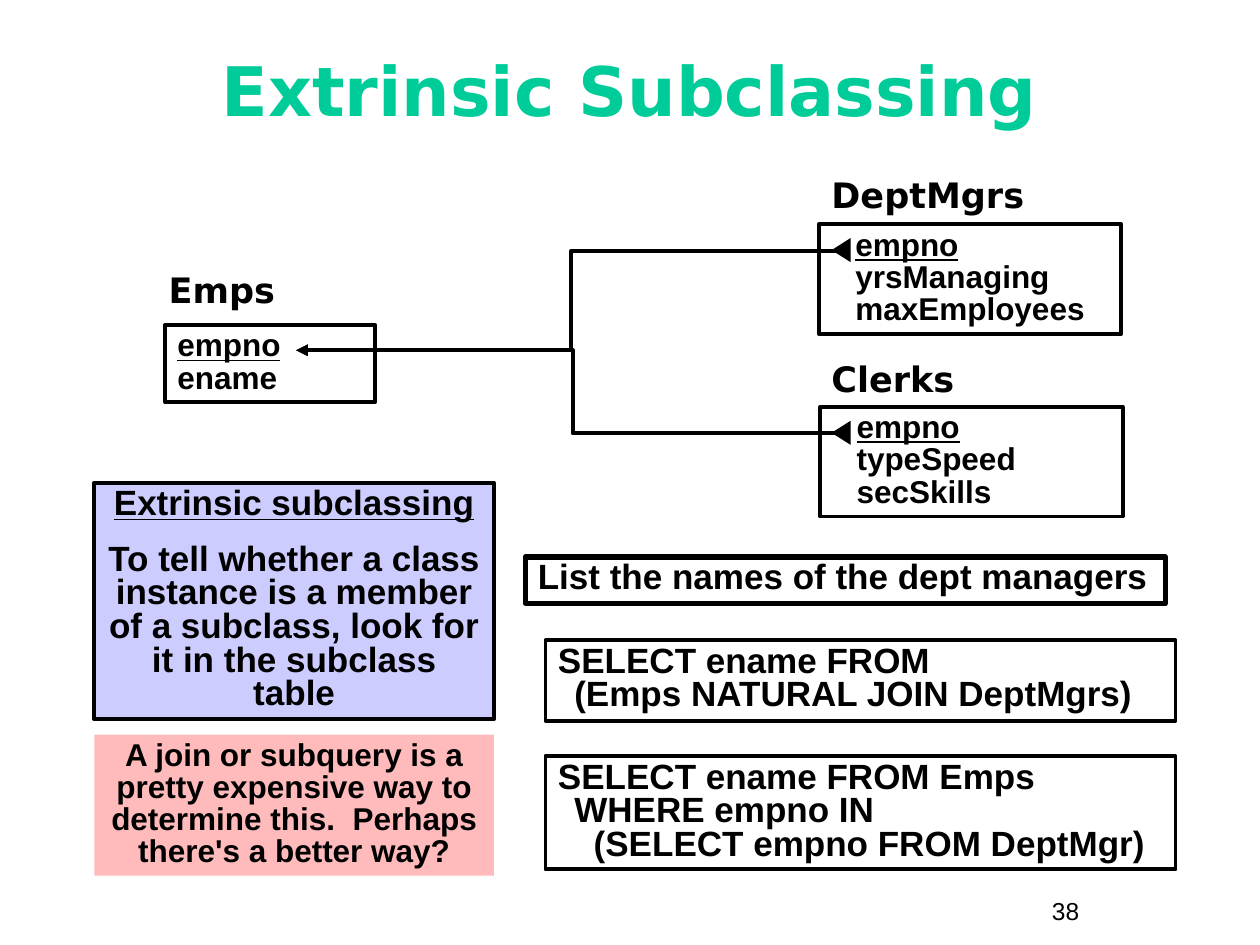
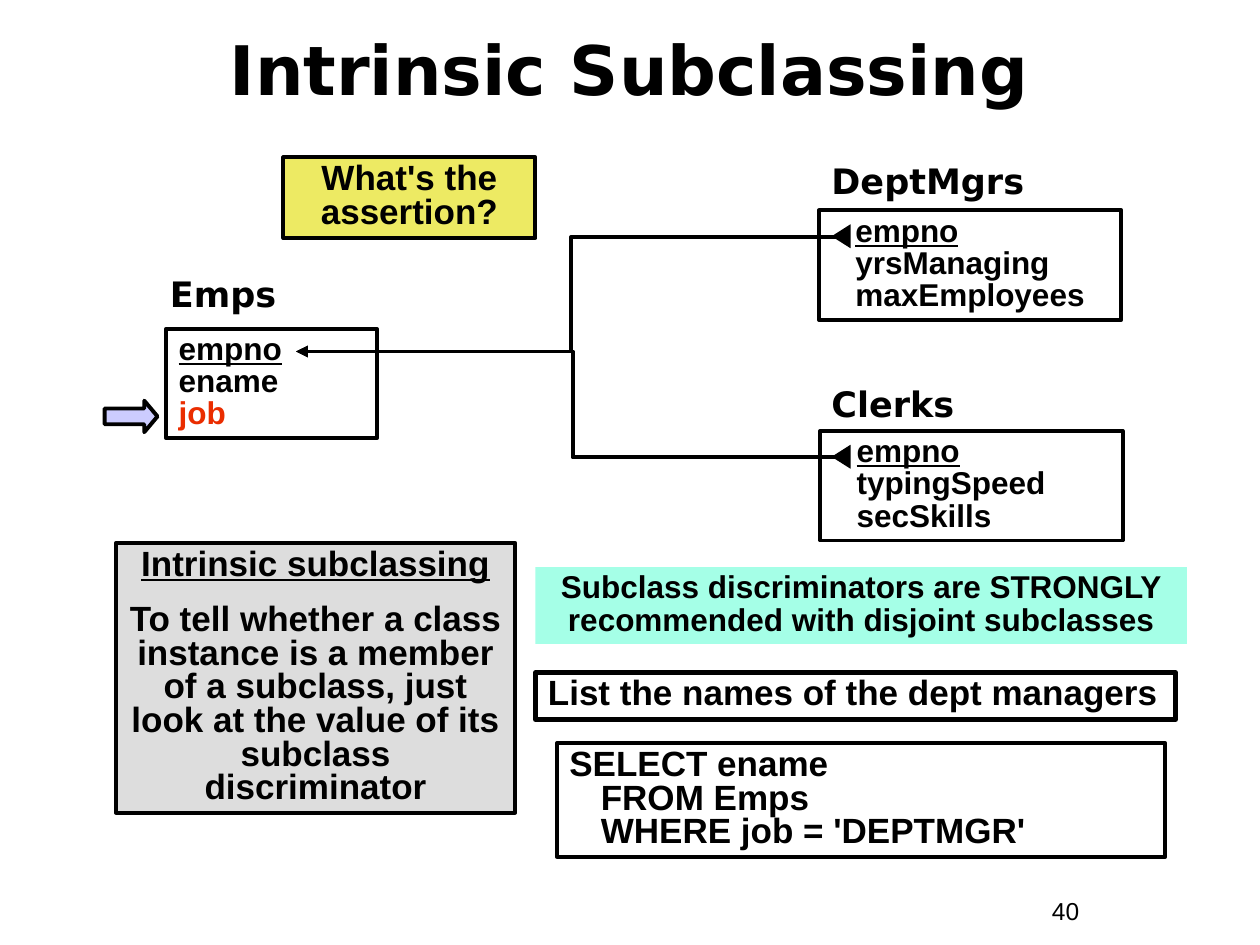
from lxml.etree import SubElement
from pptx import Presentation
from pptx.dml.color import RGBColor
from pptx.enum.shapes import MSO_CONNECTOR, MSO_SHAPE
from pptx.enum.text import MSO_ANCHOR, MSO_AUTO_SIZE, PP_ALIGN
from pptx.oxml.ns import qn
from pptx.util import Emu, Pt

PX = 9144  # 100 px to the inch
COLORS = {
    "black": "000000",
    "green": "00CC99",
    "red": "EA2D00",
    "lavender": "CCCCFF",
    "pink": "FFBBBB",
    "gray": "DDDDDD",
    "yellow": "EDEA63",
    "mint": "A5FFE7",
}
BODY_FONT, HEAD_FONT = "Arial", "DejaVu Sans"
LINE = 2.25
FIELD_HEIGHT = 26
ELBOW_LEFT = 235
QUESTION = "List the names of the dept managers"


def px(*lengths):
    return [Emu(n * PX) for n in lengths]


def rgb(name):
    return RGBColor.from_string(COLORS[name])


def write(sp, *paragraphs, size=20, font=BODY_FONT, color="black", bold=True,
          align=PP_ALIGN.LEFT, spacing=0.8, gap=0, left=0, hanging=0,
          anchor=MSO_ANCHOR.TOP):
    """Fill sp; a paragraph is a string or a (string, overrides) pair."""
    tf = sp.text_frame
    tf.word_wrap = True
    tf.auto_size = MSO_AUTO_SIZE.NONE
    tf.vertical_anchor = anchor
    for i, item in enumerate(paragraphs):
        text, overrides = item if isinstance(item, tuple) else (item, {})
        p = tf.add_paragraph() if i else tf.paragraphs[0]
        p.alignment = align
        p.line_spacing = spacing
        p.space_before = Pt(gap if i else 0)
        pPr = p._p.get_or_add_pPr()
        pPr.set("marL", str((left + hanging) * PX))
        pPr.set("indent", str(-hanging * PX))
        for j, line in enumerate(text.split("\n")):
            if j:
                p.add_line_break()
            r = p.add_run()
            r.text = line
            r.font.name = font
            r.font.size = Pt(size)
            r.font.bold = bold
            r.font.underline = overrides.get("underline", False)
            r.font.color.rgb = rgb(overrides.get("color", color))


def add_label(s, text, x, y, w, h, **fmt):
    write(s.shapes.add_textbox(*px(x, y, w, h)), text, **fmt)


def add_shape(s, kind, x, y, w, h, fill=None, line=LINE):
    sp = s.shapes.add_shape(kind, *px(x, y, w, h))
    sp.shadow.inherit = False
    if fill:
        sp.fill.solid()
        sp.fill.fore_color.rgb = rgb(fill)
    else:
        sp.fill.background()
    if line:
        sp.line.color.rgb = rgb("black")
        sp.line.width = Pt(line)
    else:
        sp.line.fill.background()
    return sp


def add_box(s, x, y, w, h, *paragraphs, fill=None, line=LINE, **fmt):
    write(add_shape(s, MSO_SHAPE.RECTANGLE, x, y, w, h, fill, line),
          *paragraphs, **fmt)


def add_callout(s, x, y, w, h, text, fill):
    add_box(s, x, y, w, h, text, fill=fill, line=None, size=18, spacing=0.85,
            align=PP_ALIGN.CENTER)


def add_definition(s, x, y, h, term, meaning, fill):
    add_box(s, x, y, 317, h, (term, {"underline": True}), meaning, fill=fill,
            gap=12.5, align=PP_ALIGN.CENTER)


def add_question(s, x, y):
    add_box(s, x, y, 508, 37, QUESTION, line=3)


def add_class(s, name, fields, x, y, w, label_x, label_y, left=0,
              label_spacing=1):
    """Class name above a box of fields, the first being the key."""
    key, *others = fields
    add_label(s, name, label_x, label_y, 215, 44, font=HEAD_FONT,
              spacing=label_spacing)
    add_box(s, x, y, w, 9 + FIELD_HEIGHT * len(fields),
            (key, {"underline": True}), *others, size=18, spacing=0.85,
            left=left)


def add_elbow(s, y1, x2, y2):
    """Bent line with its arrowhead at the superclass key."""
    cx = s.shapes.add_connector(MSO_CONNECTOR.ELBOW,
                                *px(ELBOW_LEFT, y1, x2, y2))
    cx.line.color.rgb = rgb("black")
    cx.line.width = Pt(LINE)
    SubElement(cx.line._get_or_add_ln(), qn("a:headEnd"), type="triangle")
    SubElement(cx._element.spPr, qn("a:effectLst"))


def add_hierarchy(s, emps_x, emps_y, emps_fields, join_y, mgrs_y, clerks_y,
                  clerks_label_y, clerk_skill):
    add_class(s, "Emps", emps_fields, emps_x, emps_y, 167,
              emps_x - 7, emps_y - 50)
    add_class(s, "DeptMgrs", ["empno", "yrsManaging", "maxEmployees"],
              650, mgrs_y, 240, 650, mgrs_y - 45, left=19)
    add_class(s, "Clerks", ["empno", clerk_skill, "secSkills"],
              651, clerks_y, 240, 650, clerks_label_y, left=19,
              label_spacing=0.8)
    for end_x, y in ((672, mgrs_y), (674, clerks_y)):
        add_elbow(s, join_y, end_x, y + 21)
        tip = add_shape(s, MSO_SHAPE.ISOSCELES_TRIANGLE, 658, y + 13, 19, 15,
                        fill="black", line=None)
        tip.rotation = 270


def add_slide(prs, title, title_y, title_color, number):
    s = prs.slides.add_slide(prs.slide_layouts.get_by_name("Title Only"))
    sp = s.shapes.title
    sp.left, sp.top, sp.width, sp.height = px(33, title_y, 933, 75)
    write(sp, title, size=39, font=HEAD_FONT, color=title_color, spacing=1,
          align=PP_ALIGN.CENTER, anchor=MSO_ANCHOR.MIDDLE)
    add_label(s, number, 825, 706, 92, 34, size=14, bold=False, spacing=1)
    return s


def add_extrinsic_slide(prs):
    s = add_slide(prs, "Extrinsic Subclassing", 33, "green", "38")
    add_hierarchy(s, 131, 258, ["empno", "ename"], join_y=278, mgrs_y=178,
                  clerks_y=323, clerks_label_y=285, clerk_skill="typeSpeed")
    add_definition(s, 75, 383, 188, "Extrinsic subclassing",
                   "To tell whether a class instance is a member of a "
                   "subclass, look for it in the subclass table", "lavender")
    add_callout(s, 75, 583, 317, 112,
                "A join or subquery is a pretty expensive way to determine "
                "this.  Perhaps there's a better way?", "pink")
    add_question(s, 417, 442)
    add_box(s, 433, 508, 500, 64,
            "SELECT ename FROM \n(Emps NATURAL JOIN DeptMgrs)", hanging=13)
    add_box(s, 433, 600, 500, 90,
            "SELECT ename FROM Emps\nWHERE empno IN\n"
            "  (SELECT empno FROM DeptMgr)", hanging=13)


def add_intrinsic_slide(prs):
    s = add_slide(prs, "Intrinsic Subclassing", 17, "black", "40")
    add_hierarchy(s, 132, 261, ["empno", "ename", ("job", {"color": "red"})],
                  join_y=279, mgrs_y=167, clerks_y=342, clerks_label_y=305,
                  clerk_skill="typingSpeed")
    arrow = add_shape(s, MSO_SHAPE.RIGHT_ARROW, 83, 318, 42, 25,
                      fill="lavender")
    arrow.adjustments[1] = 0.42
    add_box(s, 225, 125, 200, 64, "What's the\nassertion?", fill="yellow",
            align=PP_ALIGN.CENTER)
    add_definition(s, 92, 431, 214, "Intrinsic subclassing",
                   "To tell whether a class instance is a member of a "
                   "subclass, just look at the value of its subclass "
                   "discriminator", "gray")
    add_callout(s, 425, 450, 517, 61,
                "Subclass discriminators are STRONGLY recommended with "
                "disjoint subclasses", "mint")
    add_question(s, 425, 534)
    add_box(s, 442, 590, 483, 90,
            "SELECT ename\nFROM Emps\nWHERE job = 'DEPTMGR'", hanging=25)


def main():
    prs = Presentation()
    prs.slide_width, prs.slide_height = px(1000, 750)
    add_extrinsic_slide(prs)
    add_intrinsic_slide(prs)
    prs.save("out.pptx")


if __name__ == "__main__":
    main()
